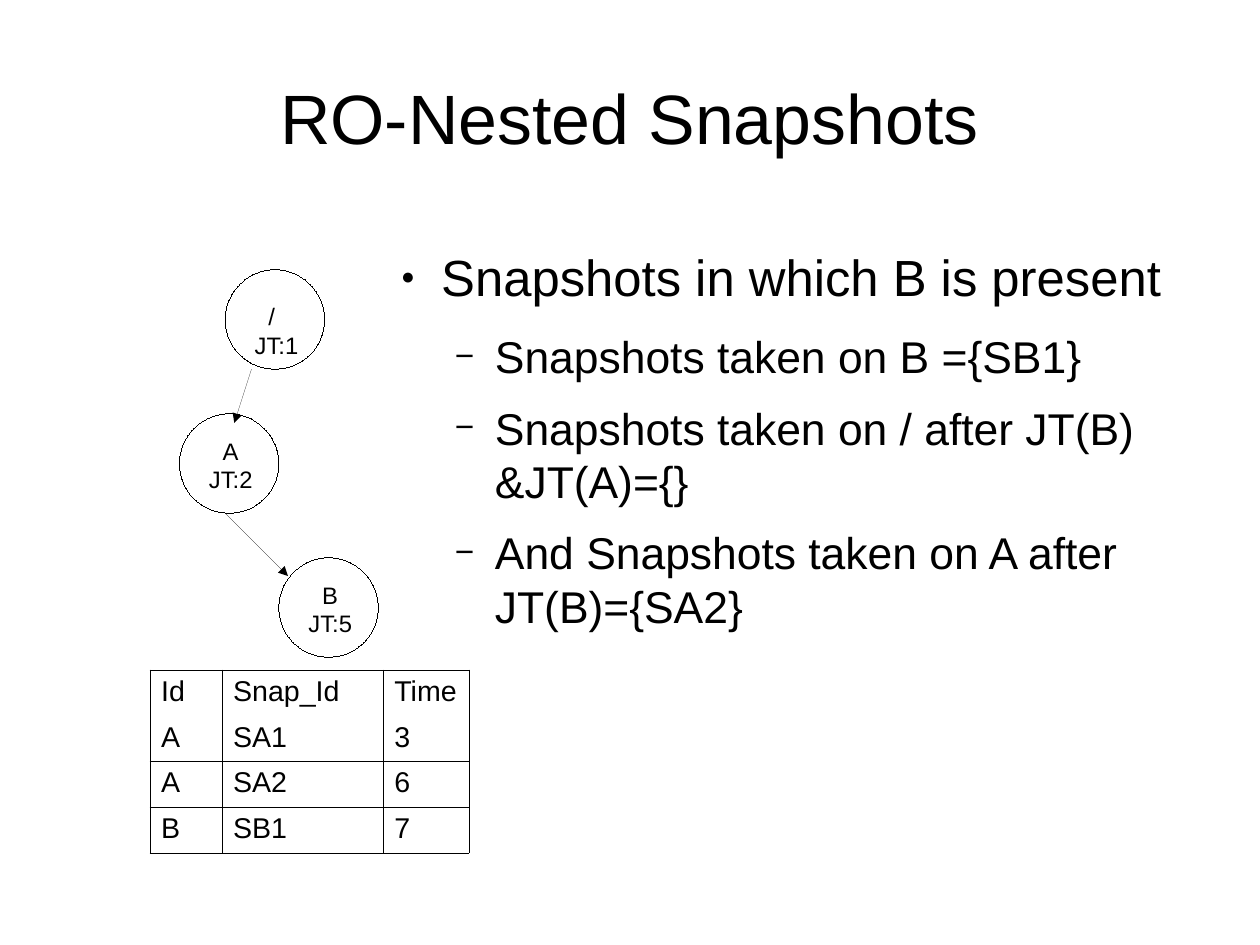
import pptx
import pptx.util
import pptx.dml.color
import pptx.enum.shapes
import pptx.enum.text
import pptx.oxml
import pptx.oxml.ns
from dataclasses import dataclass

Inches, Pt = pptx.util.Inches, pptx.util.Pt
RGB = pptx.dml.color.RGBColor.from_string
NS = pptx.oxml.ns.nsdecls("a")

SIZE = (28 / 2.54, 21 / 2.54)  # 28 by 21 cm
TITLE = "RO-Nested Snapshots"
POINTS = [
    (0, "Snapshots in which B is present"),
    (1, "Snapshots taken on B ={SB1}"),
    (1, "Snapshots taken on / after JT(B) &JT(A)={}"),
    (1, "And Snapshots taken on A after JT(B)={SA2}"),
]
# name, join time, circle left, circle top, label drop
NODES = [
    ("/", "JT:1", 1.97, 2.36, 0.23),
    ("A", "JT:2", 1.57, 3.62, 0.15),
    ("B", "JT:5", 2.44, 4.88, 0.15),
]
ARROWS = [((2.2, 3.23), (2.05, 3.7)), ((1.97, 4.49), (2.52, 5.04))]
ROWS = [
    ("Id", "Snap_Id", "Time"),
    ("A", "SA1", "3"),
    ("A", "SA2", "6"),
    ("B", "SB1", "7"),
]
WIDTHS = (0.63, 1.41, 0.75)
RULED = (1, 2, 3)  # rows with a line below
LEVELS = [  # bullet, bullet size %, left indent, space after
    ("●", 45, 0.47, 14.2),
    ("−", 75, 0.94, 11.3),
]


@dataclass
class Theme:
    font: str = "Arial"
    ink: str = "000000"
    paper: str = "FFFFFF"
    title: int = 44
    body: tuple = (32, 28)
    label: int = 15
    cell: int = 18


theme = Theme()


def style(para, size):
    para.font.name = theme.font
    para.font.size = Pt(size)
    para.font.color.rgb = RGB(theme.ink)


def add_xml(parent, text, index=None):
    node = pptx.oxml.parse_xml(text)
    parent.insert(len(parent) if index is None else index, node)


def draw_thin(shape):
    """Give a shape a hairline in ink, free of the theme's line style."""
    shape._element.remove(shape._element.find(pptx.oxml.ns.qn("p:style")))
    shape.line.color.rgb = RGB(theme.ink)
    shape.line.width = Pt(0)


def place(shape, left, top, width, height):
    shape.left, shape.top = Inches(left), Inches(top)
    shape.width, shape.height = Inches(width), Inches(height)


def clear_insets(frame):
    frame.margin_left = frame.margin_right = 0
    frame.margin_top = frame.margin_bottom = 0
    frame.word_wrap = True
    frame.auto_size = pptx.enum.text.MSO_AUTO_SIZE.NONE


def add_title(slide):
    shape = slide.shapes.title
    place(shape, 0.55, 0.33, 9.92, 1.38)
    frame = shape.text_frame
    clear_insets(frame)
    frame.vertical_anchor = pptx.enum.text.MSO_ANCHOR.MIDDLE
    frame.text = TITLE
    para = frame.paragraphs[0]
    para.alignment = pptx.enum.text.PP_ALIGN.CENTER
    style(para, theme.title)


def add_points(slide):
    shape = slide.placeholders[1]
    place(shape, 3.39, 2.15, 7.4, 4.58)
    frame = shape.text_frame
    clear_insets(frame)
    frame.text = "\n".join(text for _, text in POINTS)
    for para, (level, _) in zip(frame.paragraphs, POINTS):
        mark, scale, left, after = LEVELS[level]
        para.level = level
        props = para._p.get_or_add_pPr()
        props.set("marL", str(Inches(left)))
        props.set("indent", str(Inches(-0.35)))
        add_xml(props, f'<a:buClr {NS}><a:srgbClr val="{theme.ink}"/></a:buClr>')
        add_xml(props, f'<a:buSzPct {NS} val="{scale * 1000}"/>')
        add_xml(props, f'<a:buFont {NS} typeface="{theme.font}"/>')
        add_xml(props, f'<a:buChar {NS} char="{mark}"/>')
        para.space_before = Pt(0)
        para.space_after = Pt(after)
        style(para, theme.body[level])


def add_node(slide, name, time, left, top, drop):
    ring = slide.shapes.add_shape(
        pptx.enum.shapes.MSO_SHAPE.OVAL,
        Inches(left), Inches(top), Inches(0.87), Inches(0.87))
    ring.shadow.inherit = False
    ring.fill.background()
    draw_thin(ring)
    label = slide.shapes.add_textbox(
        Inches(left + 0.16), Inches(top + drop), Inches(0.63), Inches(0.56))
    frame = label.text_frame
    frame.word_wrap = True
    para = frame.paragraphs[0]
    para.text = f"{name}\v{time}"
    para._p.get_or_add_pPr().set("indent", str(Inches(0.12)))
    style(para, theme.label)


def add_arrow(slide, start, end):
    arrow = slide.shapes.add_connector(
        pptx.enum.shapes.MSO_CONNECTOR.STRAIGHT,
        *[Inches(value) for value in start + end])
    draw_thin(arrow)
    add_xml(arrow.line._get_or_add_ln(), f'<a:tailEnd {NS} type="triangle"/>')
    add_xml(arrow._element.spPr, f"<a:effectLst {NS}/>")


def add_borders(cell, row):
    """Rule both sides of a cell, and its top and bottom where the row has them."""
    shown = {"L": True, "R": True, "T": row == 0 or row - 1 in RULED,
             "B": row in RULED}
    for index, (side, drawn) in enumerate(shown.items()):
        fill = (f'<a:solidFill><a:srgbClr val="{theme.ink}"/></a:solidFill>'
                if drawn else "<a:noFill/>")
        add_xml(cell._tc.get_or_add_tcPr(),
                f'<a:ln{side} {NS} w="{Pt(0.06)}">{fill}</a:ln{side}>', index)


def add_grid(slide):
    high = 0.4
    table = slide.shapes.add_table(
        len(ROWS), len(WIDTHS), Inches(1.31), Inches(5.86),
        Inches(sum(WIDTHS)), Inches(high * len(ROWS))).table
    table.first_row = table.horz_banding = False
    for column, width in zip(table.columns, WIDTHS):
        column.width = Inches(width)
    for row, values in enumerate(ROWS):
        table.rows[row].height = Inches(high)
        for col, value in enumerate(values):
            cell = table.cell(row, col)
            cell.text = value
            cell.fill.solid()
            cell.fill.fore_color.rgb = RGB(theme.paper)
            style(cell.text_frame.paragraphs[0], theme.cell)
            add_borders(cell, row)


def main():
    deck = pptx.Presentation()
    deck.slide_width, deck.slide_height = map(Inches, SIZE)
    deck.element.sldSz.attrib.pop("type", None)
    slide = deck.slides.add_slide(deck.slide_layouts[1])
    add_title(slide)
    add_points(slide)
    for node in NODES:
        add_node(slide, *node)
    for start, end in ARROWS:
        add_arrow(slide, start, end)
    add_grid(slide)
    deck.save("out.pptx")


if __name__ == "__main__":
    main()
